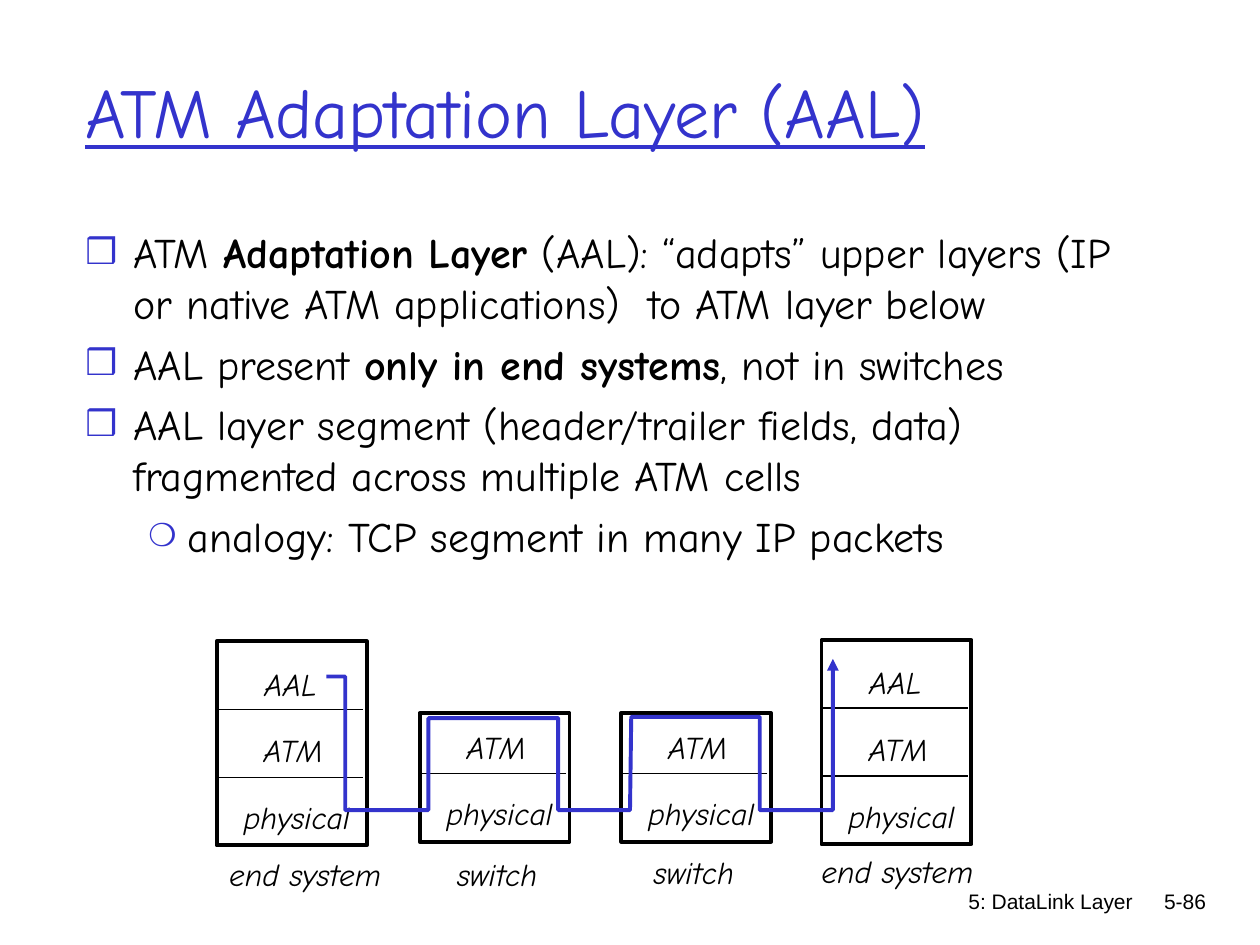
from lxml import etree
from pptx import Presentation, util as u
from pptx.dml.color import RGBColor
from pptx.enum import shapes, text
from pptx.oxml.ns import qn

COLORS = {"ink": "000000", "accent": "3333CC", "paper": "FFFFFF"}
HAND, PLAIN = "Comic Neue", "Arial"
COLUMNS, ROWS = 100, 75
CELL = u.Inches(10) // COLUMNS
LAYER_ROWS, LABEL_PITCH, LABEL_RISE = 5.4, 5.3, 4.25
LABELS = {"physical": (1.15, 10.6), "ATM": (2.75, 7), "AAL": (2.8, 6.8)}
SWITCH, END_SYSTEM = ["physical", "ATM"], ["physical", "ATM", "AAL"]
STACKS = [
    ((17.2, 50.9, 11.9, 16.2), END_SYSTEM, "end system", (17.2, 67.4, 14.1, 4)),
    ((65.2, 50.8, 11.9, 16.2), END_SYSTEM, "end system", (64.2, 67.1, 14.1, 4)),
    ((33.3, 56.6, 11.9, 10.2), SWITCH, "switch", (35.3, 67.4, 8.4, 4)),
    ((49.3, 56.6, 11.9, 10.2), SWITCH, "switch", (50.9, 67.2, 8.4, 4)),
]
ROUTE = [
    (25.9, 53.7), (27.4, 53.7), (27.4, 64.3), (34, 64.3), (34, 57),
    (44.3, 57), (44.3, 64.3), (50, 64.3), (50.1, 56.9), (60.3, 56.9),
    (60.3, 64.3), (66.1, 64.3), (66.1, 52.3),
]
LEVELS = [(0.38, 0.38, "❒", 85), (0.81, 0.31, "❍", 75)]
POINTS = [
    (0, [("ATM ", False), ("Adaptation Layer", True),
         (" (AAL): “adapts” upper layers (IP or native ATM applications)  to ATM layer below", False)]),
    (0, [("AAL present ", False), ("only in end systems", True), (", not in switches", False)]),
    (0, [("AAL layer segment (header/trailer fields, data) fragmented across multiple ATM cells", False)]),
    (1, [("analogy: TCP segment in many IP packets", False)]),
]


def grid(*cells):
    """Turn grid columns and rows into slide lengths."""
    return [round(cell * CELL) for cell in cells]


def color(name):
    """Look up a named colour."""
    return RGBColor.from_string(COLORS[name])


def style(font, size, name=HAND, ink="ink"):
    """Set the face, size and colour of a font."""
    font.size, font.name = u.Pt(size), name
    font.color.rgb = color(ink)


def add_label(page, box, wording, size=18, name=HAND, ink="ink", wrap=True):
    """Place one line of text in a box and return its frame."""
    frame = page.shapes.add_textbox(*grid(*box)).text_frame
    frame.word_wrap = wrap
    if not wrap:
        frame.auto_size = text.MSO_AUTO_SIZE.SHAPE_TO_FIT_TEXT
    frame.text = wording
    style(frame.paragraphs[0].runs[0].font, size, name, ink)
    return frame


def add_title(page, box):
    """Place the underlined heading."""
    frame = add_label(page, box, "ATM Adaptation Layer (AAL)", 40, ink="accent")
    frame.vertical_anchor = text.MSO_ANCHOR.MIDDLE
    frame.paragraphs[0].runs[0].font.underline = True


def add_bullet(para, level):
    """Give a paragraph the indent and coloured mark of its level."""
    margin, hang, mark, share = LEVELS[level]
    para.level = level
    properties = para._p.get_or_add_pPr()
    properties.set("marL", str(u.Inches(margin)))
    properties.set("indent", str(-u.Inches(hang)))
    tint = etree.SubElement(properties, qn("a:buClr"))
    etree.SubElement(tint, qn("a:srgbClr"), val=COLORS["accent"])
    etree.SubElement(properties, qn("a:buSzPct"), val=str(share * 1000))
    etree.SubElement(properties, qn("a:buFont"), typeface=PLAIN)
    etree.SubElement(properties, qn("a:buChar"), char=mark)


def add_points(page, box):
    """Place the bulleted text."""
    frame = page.shapes.add_textbox(*grid(*box)).text_frame
    frame.word_wrap = True
    for index, (level, spans) in enumerate(POINTS):
        para = frame.add_paragraph() if index else frame.paragraphs[0]
        add_bullet(para, level)
        para.space_before = u.Pt(6 if index else 0)
        for wording, bold in spans:
            span = para.add_run()
            span.text = wording
            style(span.font, 24)
            span.font.bold = bold


def add_italic(page, box, wording):
    """Place an italic diagram label."""
    frame = add_label(page, box, wording, wrap=False)
    frame.paragraphs[0].runs[0].font.italic = True


def add_stack(page, box, layers, caption, caption_box):
    """Draw one protocol stack, its layers counted from the bottom."""
    left, top, width, height = box
    bottom = top + height
    frame = page.shapes.add_shape(shapes.MSO_SHAPE.RECTANGLE, *grid(*box))
    frame.shadow.inherit = False
    frame.fill.solid()
    frame.fill.fore_color.rgb = color("paper")
    frame.line.color.rgb = color("ink")
    frame.line.width = u.Pt(2.25)
    for index, layer in enumerate(layers):
        if index:
            level = bottom - index * LAYER_ROWS
            rule = page.shapes.add_connector(
                shapes.MSO_CONNECTOR.STRAIGHT, *grid(left + width - 0.3, level, left, level))
            rule.line.color.rgb = color("ink")
            rule.line.width = u.Pt(0.75)
            etree.SubElement(rule._element.spPr, qn("a:effectLst"))
        offset, span = LABELS[layer]
        label_top = bottom - LABEL_RISE - index * LABEL_PITCH
        add_italic(page, (left + offset, label_top, span, 4), layer)
    add_italic(page, caption_box, caption)


def add_route(page, points):
    """Draw the arrow that follows the data through every stack."""
    start, *rest = [grid(*point) for point in points]
    builder = page.shapes.build_freeform(*start)
    builder.add_line_segments(rest, close=False)
    route = builder.convert_to_shape()
    route.shadow.inherit = False
    route.fill.background()
    route.line.color.rgb = color("accent")
    route.line.width = u.Pt(2.25)
    etree.SubElement(route.line._get_or_add_ln(), qn("a:tailEnd"), type="triangle")


def add_footer(page, box, wording):
    """Place a right-aligned footer text."""
    frame = add_label(page, box, wording, 12, PLAIN)
    frame.paragraphs[0].alignment = text.PP_ALIGN.RIGHT


def main():
    """Build and save the slide."""
    deck = Presentation()
    deck.slide_width, deck.slide_height = grid(COLUMNS, ROWS)
    page = deck.slides.add_slide(deck.slide_layouts[6])
    add_footer(page, (59.2, 70, 31.7, 5), "5: DataLink Layer")
    add_footer(page, (89.3, 70, 7.4, 5), "5-86")
    add_title(page, (5.8, 2.5, 85, 12.5))
    add_points(page, (5.8, 17.5, 85, 50.8))
    for stack in STACKS:
        add_stack(page, *stack)
    add_route(page, ROUTE)
    deck.save("out.pptx")


if __name__ == "__main__":
    main()
